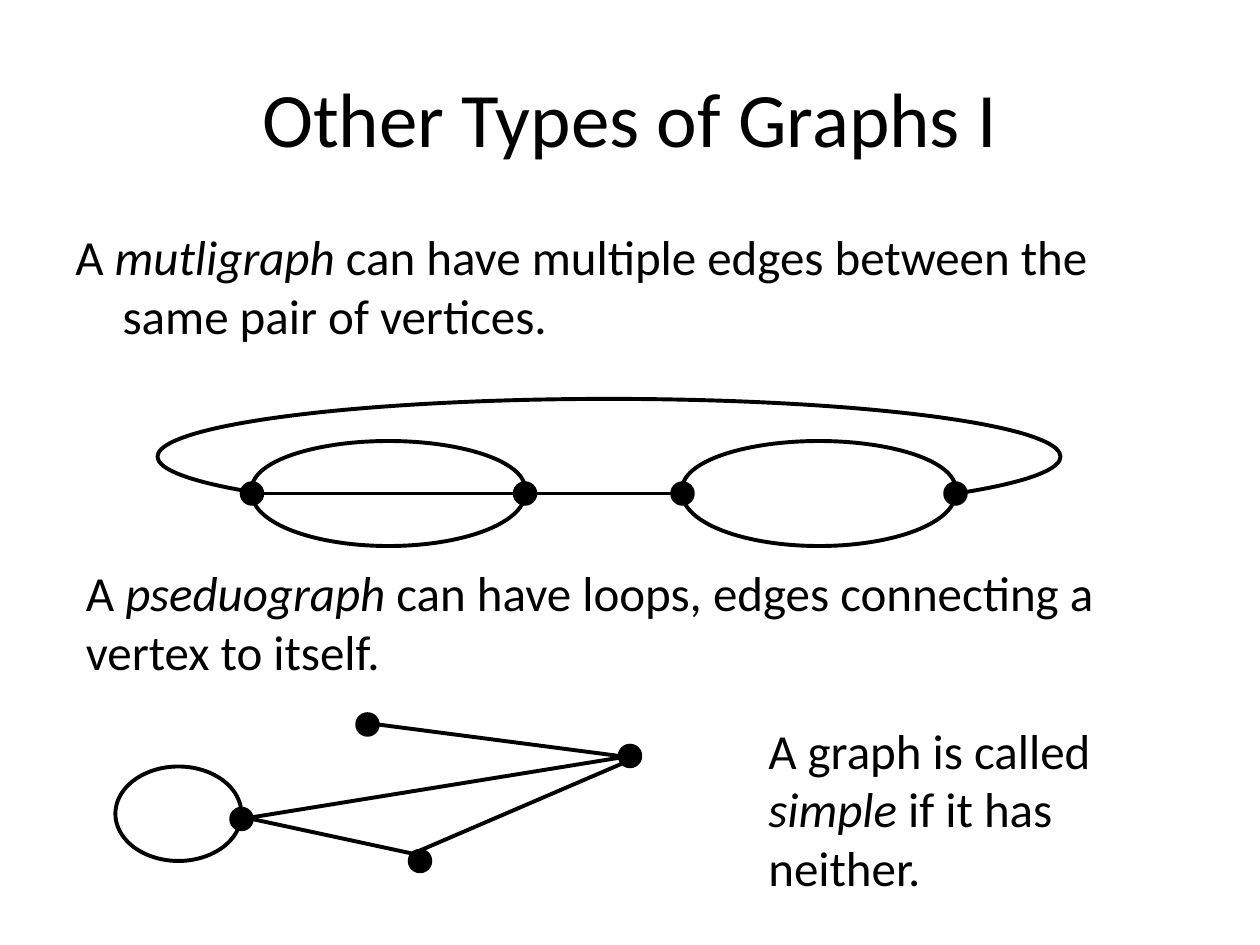
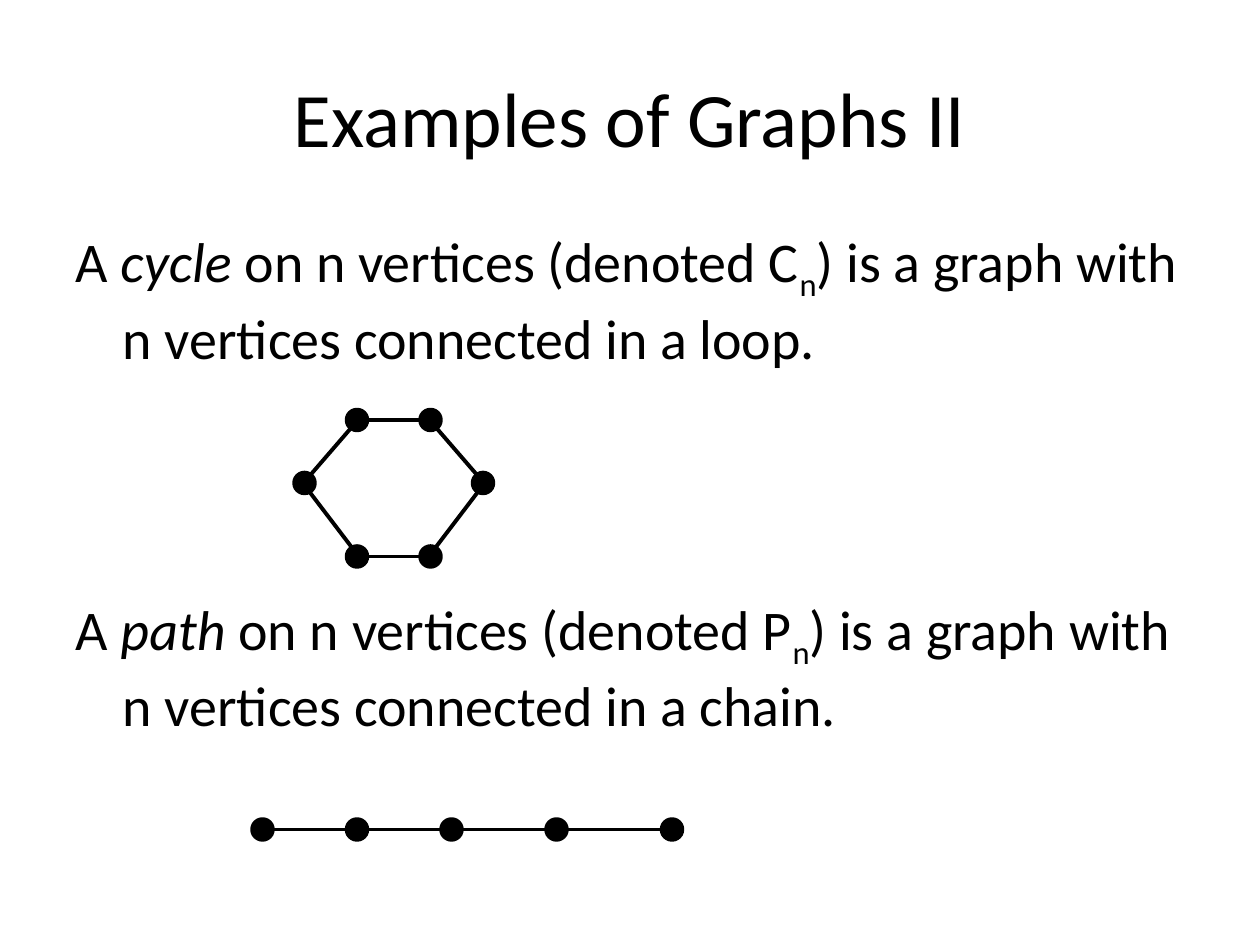
from dataclasses import dataclass

from lxml import etree
from pptx import Presentation
from pptx import util as u
from pptx.dml.color import RGBColor
from pptx.enum import shapes, text
from pptx.oxml.ns import qn

PX = 7620  # EMU per px, 120 px to the inch


@dataclass(frozen=True)
class Theme:
    ink: RGBColor = RGBColor(0, 0, 0)
    font: str = "Calibri"
    title: int = 44
    large: int = 32
    body: int = 28
    edge: float = 2.25
    dot_line: float = 2
    radius: int = 10
    hang: int = 45


T = Theme()

# Offsets from a vertex centre to the points where edges meet it
R, D = T.radius, 7
SITES = {"c": (0, 0), "t": (0, -R), "l": (-R, 0), "r": (R, 0),
         "tl": (-D, -D), "tr": (D, -D), "bl": (-D, D), "br": (D, D)}


def px(*lengths):
    return [u.Emu(n * PX) for n in lengths]


# Text
def add_text(s, box, runs, size, hanging=False, align=None, anchor=text.MSO_ANCHOR.TOP):
    """Runs are (words, style); style is "", "italic" or "sub"."""
    tf = s.shapes.add_textbox(*px(*box)).text_frame
    tf.word_wrap = True
    tf.vertical_anchor = anchor
    p = tf.paragraphs[0]
    p.alignment = align
    if hanging:
        pPr = p._p.get_or_add_pPr()
        pPr.set("marL", str(T.hang * PX))
        pPr.set("indent", str(-T.hang * PX))
    p.font.name, p.font.size = T.font, u.Pt(size)
    p.font.color.rgb = T.ink
    for words, style in runs:
        r = p.add_run()
        r.text = words
        if style == "italic":
            r.font.italic = True
        elif style == "sub":
            r._r.get_or_add_rPr().set("baseline", "-25000")


def titled_slide(prs, title):
    s = prs.slides.add_slide(prs.slide_layouts[6])
    add_text(s, (60, 36, 1080, 150), [(title, "")], T.title,
             align=text.PP_ALIGN.CENTER, anchor=text.MSO_ANCHOR.MIDDLE)
    return s


# Graph parts
def add_arc(s, box, start, end):
    sp = s.shapes.add_shape(shapes.MSO_SHAPE.ARC, *px(*box))
    sp.shadow.inherit = False
    sp.fill.background()
    sp.line.color.rgb, sp.line.width = T.ink, u.Pt(T.edge)
    # Arc angles are stored in 1/60000 degree, adjustments in 1/100000
    sp.adjustments[0], sp.adjustments[1] = start * 0.6, end * 0.6


def add_edge(s, start, end):
    line = s.shapes.add_connector(shapes.MSO_CONNECTOR.STRAIGHT, *px(*start, *end))
    line.line.color.rgb, line.line.width = T.ink, u.Pt(T.edge)
    etree.SubElement(line._element.spPr, qn("a:effectLst"))


def add_dot(s, x, y):
    sp = s.shapes.add_shape(shapes.MSO_SHAPE.OVAL, *px(x - R, y - R, 2 * R, 2 * R))
    sp.shadow.inherit = False
    sp.fill.solid()
    sp.fill.fore_color.rgb = T.ink
    sp.line.color.rgb, sp.line.width = T.ink, u.Pt(T.dot_line)


def add_graph(s, origin, vertices, edges, arcs=()):
    """Edges are (vertex, site, vertex, site); arcs are (box, start, end)."""
    left, top = origin

    def point(vertex, site):
        (x, y), (dx, dy) = vertices[vertex], SITES[site]
        return left + x + dx, top + y + dy

    for (x, y, w, h), start, end in arcs:
        add_arc(s, (left + x, top + y, w, h), start, end)
    for a, site_a, b, site_b in edges:
        add_edge(s, point(a, site_a), point(b, site_b))
    for i in range(len(vertices)):
        add_dot(s, *point(i, "c"))


# Graph figures
def multigraph(s, origin):
    xs = (90, 350, 500, 760)
    arcs = [((0, 0, 860, 110), 174.2, 5.8)]
    for x in (xs[0], xs[2]):
        arcs += [((x, 40, 260, 90), 178, 0), ((x, 40, 260, 100), 0, 180)]
    add_graph(s, origin, [(x, 90) for x in xs],
              [(0, "c", 1, "c"), (1, "c", 2, "c")], arcs)


def pseudograph(s, origin):
    add_graph(s, origin, [(120, 100), (490, 40), (240, 10), (290, 140)],
              [(0, "c", 1, "c"), (2, "r", 1, "l"), (0, "r", 3, "tl"), (3, "t", 1, "bl")],
              [((0, 50, 120, 90), 3, 0)])


def cycle_graph(s, origin):
    ring = [(60, 10), (130, 10), (180, 70), (130, 140), (60, 140), (10, 70)]
    add_graph(s, origin, ring,
              [(0, "l", 1, "r"), (1, "tl", 2, "br"), (2, "tr", 3, "bl"),
               (3, "r", 4, "l"), (0, "tr", 5, "bl"), (5, "tl", 4, "br")])


def path_graph(s, origin):
    add_graph(s, origin, [(x, 10) for x in (10, 100, 190, 290, 400)],
              [(0, "l", 1, "r"), (1, "l", 4, "r")])


# Slides
def other_types(prs):
    s = titled_slide(prs, "Other Types of Graphs I")
    add_text(s, (60, 210, 1080, 150),
             [("A ", ""), ("mutligraph", "italic"),
              (" can have multiple edges between the same pair of vertices.", "")],
             T.body, hanging=True)
    multigraph(s, (150, 380))
    add_text(s, (70, 530, 1010, 125),
             [("A ", ""), ("pseduograph ", "italic"),
              ("can have loops, edges connecting a vertex to itself.", "")], T.body)
    pseudograph(s, (110, 680))
    add_text(s, (720, 680, 420, 180),
             [("A graph is called ", ""), ("simple", "italic"),
              (" if it has neither.", "")], T.body)


def examples(prs):
    s = titled_slide(prs, "Examples of Graphs II")
    for top, kind, letter, form in ((210, "cycle", "C", "loop"), (560, "path", "P", "chain")):
        add_text(s, (60, top, 1080, 150),
                 [("A ", ""), (kind, "italic"), (f" on n vertices (denoted {letter}", ""),
                  ("n", "sub"), (f") is a graph with n vertices connected in a {form}.", "")],
                 T.large, hanging=True)
    cycle_graph(s, (280, 390))
    path_graph(s, (240, 780))


def main():
    prs = Presentation()
    prs.slide_width, prs.slide_height = px(1200, 900)
    other_types(prs)
    examples(prs)
    prs.save("out.pptx")


if __name__ == "__main__":
    main()
